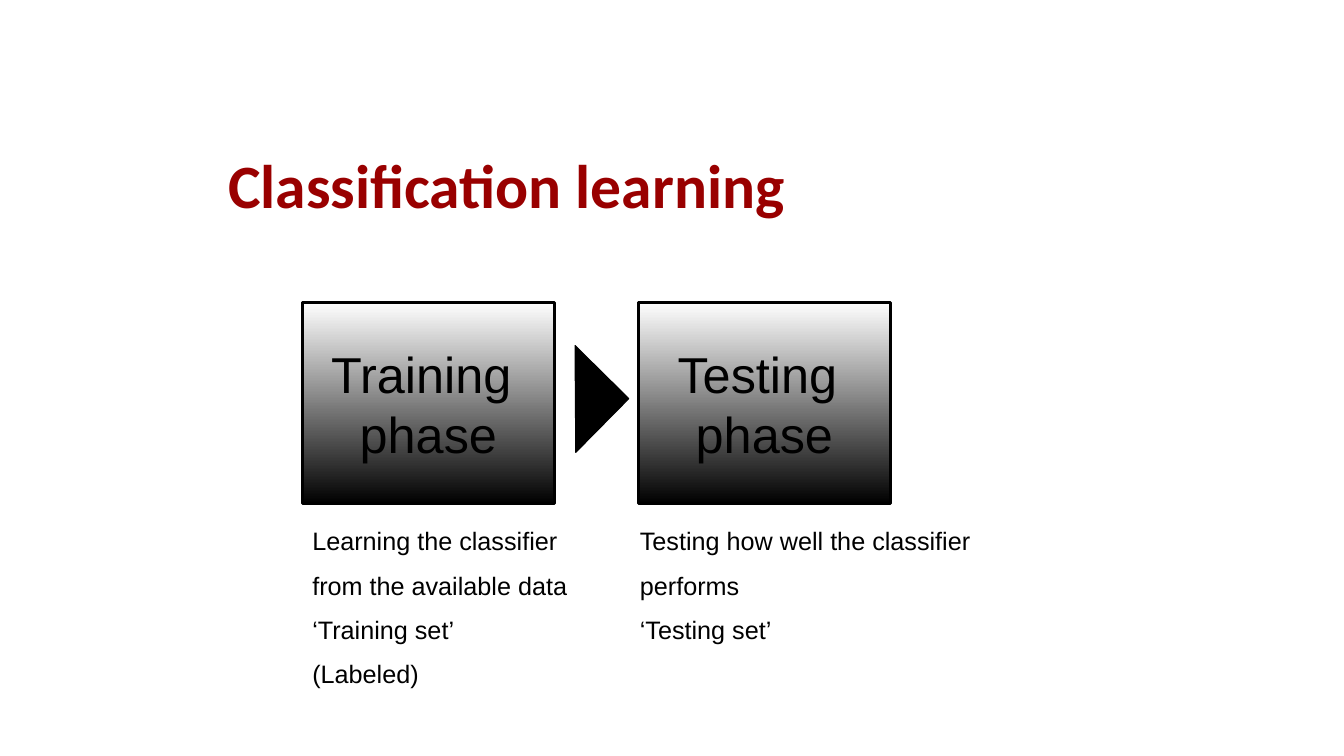
from dataclasses import dataclass

from pptx import Presentation
from pptx.dml.color import RGBColor
from pptx.enum.shapes import MSO_SHAPE
from pptx.enum.text import MSO_ANCHOR, MSO_AUTO_SIZE, PP_ALIGN
from pptx.shapes.autoshape import Shape
from pptx.slide import Slide
from pptx.util import Inches, Pt

COLUMNS, ROWS = 160, 90
CELL = Inches(1 / 12)

BLACK = RGBColor(0x00, 0x00, 0x00)
WHITE = RGBColor(0xFF, 0xFF, 0xFF)
DARK_RED = RGBColor(0x99, 0x00, 0x00)

TITLE_FONT = {"name": "Calibri", "size": Pt(44), "bold": True}
PHASE_FONT = {"name": "Arial", "size": Pt(36)}
CAPTION_FONT = {"name": "Arial", "size": Pt(18)}

TITLE_PARAGRAPH = {"line_spacing": 0.9}
PHASE_PARAGRAPH = {"alignment": PP_ALIGN.CENTER}
CAPTION_PARAGRAPH = {"space_before": Pt(10)}

TITLE_FRAME = {"word_wrap": True, "vertical_anchor": MSO_ANCHOR.MIDDLE}
PHASE_FRAME = {"word_wrap": False, "vertical_anchor": MSO_ANCHOR.MIDDLE}
CAPTION_FRAME = {"word_wrap": True, "auto_size": MSO_AUTO_SIZE.SHAPE_TO_FIT_TEXT}


@dataclass(frozen=True)
class Area:
    """A block of grid cells."""
    column: int
    row: int
    columns: int
    rows: int

    def box(self) -> tuple[int, int, int, int]:
        return (self.column * CELL, self.row * CELL,
                self.columns * CELL, self.rows * CELL)


@dataclass(frozen=True)
class Phase:
    column: int
    label: list[str]
    caption_column: int
    caption: list[str]


TITLE_AREA = Area(26, 15, 108, 15)
ARROW_AREA = Area(64, 43, 9, 9)
PHASES = [
    Phase(36, ["Training ", "phase"], 36,
          ["Learning the classifier", "from the available data",
           "‘Training set’", "(Labeled)"]),
    Phase(76, ["Testing ", "phase"], 75,
          ["Testing how well the classifier", "performs", "‘Testing set’"]),
]


def apply(target: object, values: dict) -> None:
    for attribute, value in values.items():
        setattr(target, attribute, value)


def write(holder: Shape, lines: list[str], frame_format: dict,
          paragraph_format: dict, font: dict, color: RGBColor = BLACK) -> None:
    frame = holder.text_frame
    apply(frame, frame_format)
    frame.text = "\n".join(lines)
    for paragraph in frame.paragraphs:
        apply(paragraph, paragraph_format)
        for run in paragraph.runs:
            apply(run.font, font)
            run.font.color.rgb = color


def add_outlined(slide: Slide, kind: MSO_SHAPE, area: Area, line_width: float) -> Shape:
    outlined = slide.shapes.add_shape(kind, *area.box())
    outlined.shadow.inherit = False
    outlined.line.color.rgb = BLACK
    outlined.line.width = Pt(line_width)
    return outlined


def add_phase(slide: Slide, phase: Phase) -> None:
    block = add_outlined(slide, MSO_SHAPE.RECTANGLE, Area(phase.column, 36, 30, 24), 2.25)
    block.fill.gradient()
    block.fill.gradient_angle = 270
    for stop, color in zip(block.fill.gradient_stops, (WHITE, BLACK)):
        stop.color.rgb = color
    write(block, phase.label, PHASE_FRAME, PHASE_PARAGRAPH, PHASE_FONT)

    caption = slide.shapes.add_textbox(*Area(phase.caption_column, 62, 54, 21).box())
    write(caption, phase.caption, CAPTION_FRAME, CAPTION_PARAGRAPH, CAPTION_FONT)


def add_arrow(slide: Slide) -> None:
    """Turn a right triangle so that its square corner points to the right."""
    arrow = add_outlined(slide, MSO_SHAPE.RIGHT_TRIANGLE, ARROW_AREA, 0.75)
    arrow.fill.solid()
    arrow.fill.fore_color.rgb = BLACK
    arrow.rotation = 224.6


def main() -> None:
    presentation = Presentation()
    presentation.slide_width = COLUMNS * CELL
    presentation.slide_height = ROWS * CELL
    slide = presentation.slides.add_slide(presentation.slide_layouts[6])

    title = slide.shapes.add_textbox(*TITLE_AREA.box())
    write(title, ["Classification learning"], TITLE_FRAME, TITLE_PARAGRAPH,
          TITLE_FONT, DARK_RED)
    for phase in PHASES:
        add_phase(slide, phase)
    add_arrow(slide)

    presentation.save("out.pptx")


if __name__ == "__main__":
    main()
